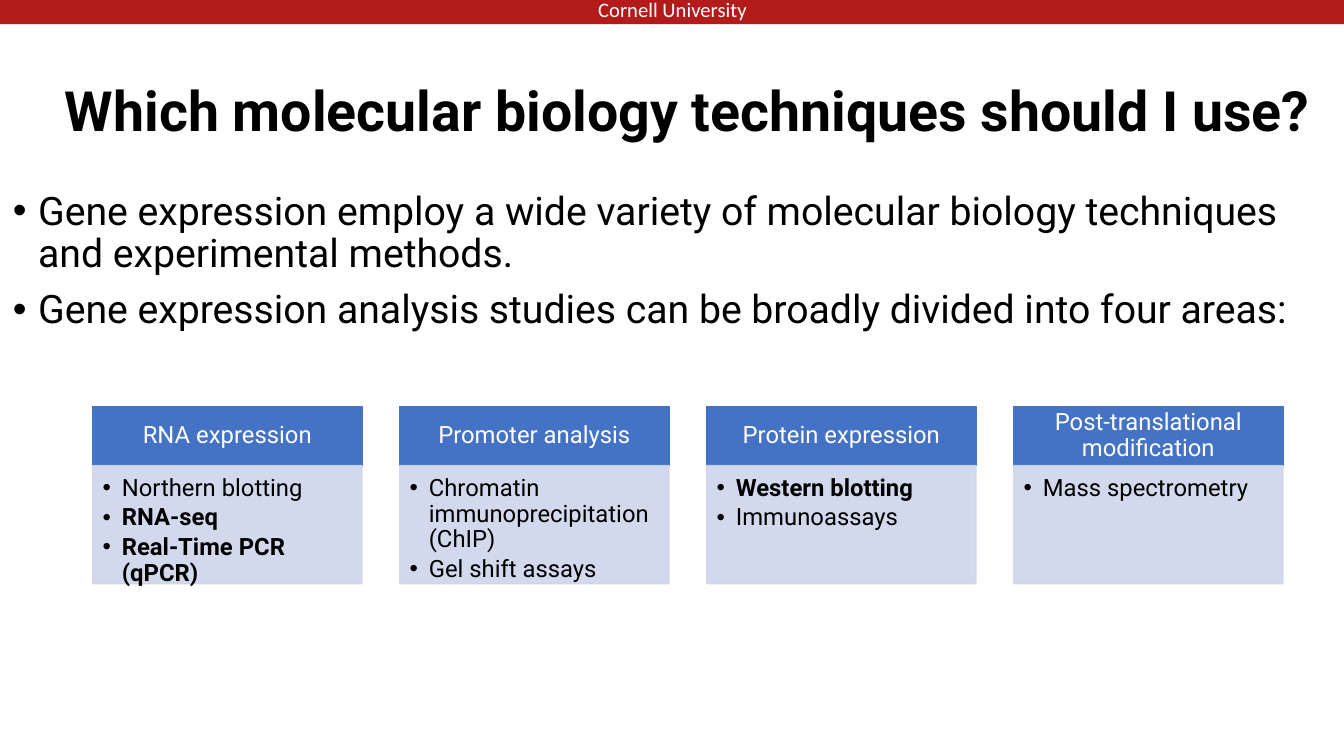
"""Build a slide on choosing molecular biology techniques."""
from lxml import etree
from pptx import Presentation
from pptx import util as u
from pptx.dml.color import RGBColor
from pptx.enum import shapes, text
from pptx.oxml.ns import qn

UNIVERSITY = "Cornell University"
TITLE = "Which molecular biology techniques should I use?"
POINTS = [
    "Gene expression employ a wide variety of molecular biology techniques and experimental methods.",
    "Gene expression analysis studies can be broadly divided into four areas:",
]
AREAS = [
    ("RNA expression", ["Northern blotting", "RNA-seq", "Real-Time PCR (qPCR)"]),
    ("Promoter analysis", ["Chromatin immunoprecipitation (ChIP)", "Gel shift assays"]),
    ("Protein expression", ["Western blotting", "Immunoassays"]),
    ("Post-translational modification", ["Mass spectrometry"]),
]
KEY_METHODS = {"RNA-seq", "Real-Time PCR (qPCR)", "Western blotting"}

RED = RGBColor(0xB3, 0x1B, 0x1B)
BLUE = RGBColor(0x44, 0x72, 0xC4)
PALE = RGBColor(0xCF, 0xD5, 0xEA)
WHITE = RGBColor(0xFF, 0xFF, 0xFF)
BLACK = RGBColor(0, 0, 0)

AREA_LEFT, AREA_STEP, AREA_WIDTH = 0.92, 3.045, 2.67
HEAD_TOP, HEAD_HEIGHT, METHODS_HEIGHT = 4.03, 0.59, 1.17


def write(shape, lines, size, color=BLACK, font="Roboto", bold=(), align=text.PP_ALIGN.LEFT,
          anchor=text.MSO_ANCHOR.TOP, insets=(0.1, 0.05, 0.1, 0.05), spacing=0.9,
          before=0, after=0, hang=0, wrap=True):
    frame = shape.text_frame
    frame.word_wrap = wrap
    frame.vertical_anchor = anchor
    (frame.margin_left, frame.margin_top,
     frame.margin_right, frame.margin_bottom) = map(u.Inches, insets)
    for number, line in enumerate(lines):
        para = frame.add_paragraph() if number else frame.paragraphs[0]
        para.alignment = align
        para.line_spacing = spacing
        para.space_before = u.Pt(before if number else 0)
        para.space_after = u.Pt(after)
        if hang:
            props = para._p.get_or_add_pPr()
            props.set("marL", str(u.Inches(hang)))
            props.set("indent", str(-u.Inches(hang)))
            etree.SubElement(props, qn("a:buFont")).set("typeface", "Arial")
            etree.SubElement(props, qn("a:buChar")).set("char", "•")
        run = para.add_run()
        run.text = line
        run.font.name = font
        run.font.size = u.Pt(size)
        run.font.bold = line in bold
        run.font.color.rgb = color


def add_box(slide, *place):
    return slide.shapes.add_textbox(*map(u.Inches, place))


def add_panel(slide, place, color, outlined=True, opacity=100):
    panel = slide.shapes.add_shape(shapes.MSO_SHAPE.RECTANGLE, *map(u.Inches, place))
    panel.shadow.inherit = False
    panel.fill.solid()
    panel.fill.fore_color.rgb = color
    if outlined:
        panel.line.color.rgb = color
        panel.line.width = u.Pt(1)
    else:
        panel.line.fill.background()
    if opacity < 100:
        for shade in panel._element.spPr.iter(qn("a:srgbClr")):
            etree.SubElement(shade, qn("a:alpha")).set("val", str(opacity * 1000))
    return panel


def main():
    deck = Presentation()
    deck.slide_width, deck.slide_height = u.Inches(13.33), u.Inches(7.5)
    slide = deck.slides.add_slide(deck.slide_layouts[6])
    center, middle = text.PP_ALIGN.CENTER, text.MSO_ANCHOR.MIDDLE

    add_panel(slide, (0, 0, 13.33, 0.24), RED, outlined=False)
    write(add_box(slide, 5.28, -0.08, 2.78, 0.35), [UNIVERSITY], 14.7, color=WHITE,
          font="Calibri", align=center, spacing=1.0)
    write(add_box(slide, 0.34, 0.4, 12.96, 1.45), [TITLE], 39.6, bold={TITLE},
          align=center, anchor=middle)
    write(add_box(slide, 0.03, 1.85, 13.42, 4.76), POINTS, 28, before=10, hang=0.25)

    for column, (area, methods) in enumerate(AREAS):
        left = AREA_LEFT + column * AREA_STEP
        head = add_panel(slide, (left, HEAD_TOP, AREA_WIDTH, HEAD_HEIGHT), BLUE)
        write(head, [area], 17, color=WHITE, align=center, anchor=middle,
              insets=(0.13, 0.08, 0.13, 0.08))
        body = add_panel(slide, (left, HEAD_TOP + HEAD_HEIGHT, AREA_WIDTH, METHODS_HEIGHT),
                         PALE, opacity=90)
        write(body, methods, 17, bold=KEY_METHODS, insets=(0.1, 0.1, 0.13, 0.15),
              after=2.8, hang=0.19)

    deck.save("out.pptx")


if __name__ == "__main__":
    main()
